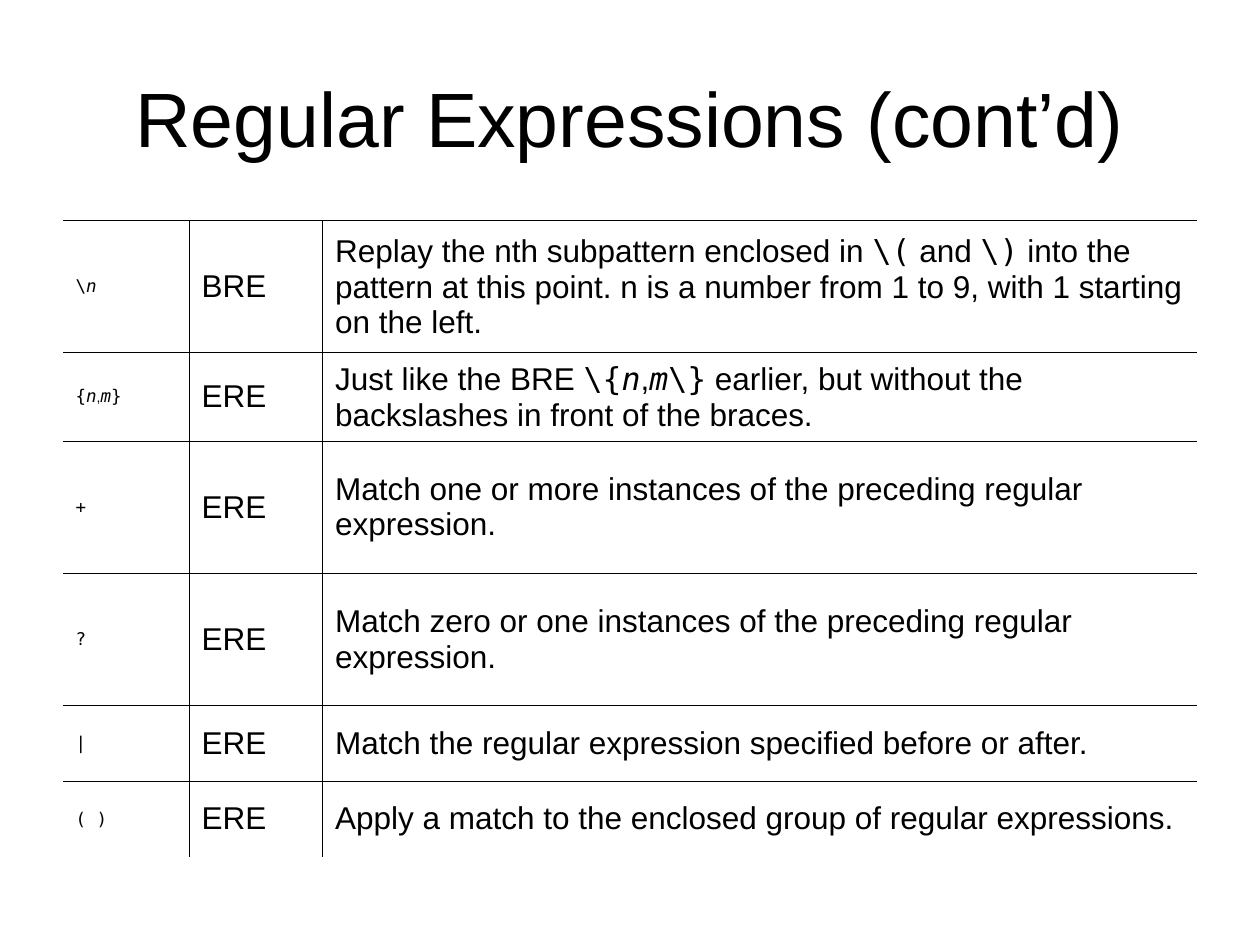
from dataclasses import dataclass

from lxml.etree import SubElement
from pptx import Presentation
from pptx.dml.color import RGBColor
from pptx.enum.text import MSO_ANCHOR, PP_ALIGN
from pptx.oxml.ns import qn
from pptx.util import Inches, Pt


@dataclass(frozen=True)
class Theme:
    """Colours, fonts and type sizes of the slide."""
    ink: str = "000000"
    text_font: str = "Arial"
    code_font: str = "DejaVu Sans Mono"
    title_size: float = 44
    body_size: float = 18
    code_size: float = 10
    comma_size: float = 8
    rule_width: float = 0.45


THEME = Theme()
TEXT, CODE, VARIABLE = "text", "code", "variable"
TITLE = "Regular Expressions (cont’d)"
COLUMN_WIDTHS = (1, 1.06, 6.94)
ROW_HEIGHTS = (1.05, 0.7, 1.05, 1.05, 0.6, 0.6)
OPERATORS = (
    ([("\\", CODE), ("n", VARIABLE)], "BRE",
     [("Replay the nth subpattern enclosed in ", TEXT), ("\\(", CODE),
      (" and ", TEXT), ("\\)", CODE),
      (" into the pattern at this point. n is a number from 1 to 9, "
       "with 1 starting on the left.", TEXT)]),
    ([("{", CODE), ("n", VARIABLE), (",", TEXT), ("m", VARIABLE), ("}", CODE)], "ERE",
     [("Just like the BRE ", TEXT), ("\\{", CODE), ("n", VARIABLE), (",", TEXT),
      ("m", VARIABLE), ("\\}", CODE),
      (" earlier, but without the backslashes in front of the braces.", TEXT)]),
    ([("+", CODE)], "ERE",
     [("Match one or more instances of the preceding regular expression.", TEXT)]),
    ([("?", CODE)], "ERE",
     [("Match zero or one instances of the preceding regular expression.", TEXT)]),
    ([("|", CODE)], "ERE",
     [("Match the regular expression specified before or after.", TEXT)]),
    ([("( )", CODE)], "ERE",
     [("Apply a match to the enclosed group of regular expressions.", TEXT)]),
)


def write(frame, pieces, *, size=THEME.body_size, text_size=None, align=PP_ALIGN.LEFT):
    """Write (text, style) pieces as the runs of one paragraph."""
    paragraph = frame.paragraphs[0]
    paragraph.alignment = align
    for words, style in pieces:
        run = paragraph.add_run()
        run.text = words
        font = run.font
        font.name = THEME.text_font if style == TEXT else THEME.code_font
        font.size = Pt(text_size if text_size and style == TEXT else size)
        font.italic = style == VARIABLE
        font.bold = False
        font.color.rgb = RGBColor.from_string(THEME.ink)


def rule_cell(cell, ruled_sides):
    """Draw the named sides of a cell and clear its other sides."""
    properties = cell._tc.get_or_add_tcPr()
    for side in "LRTB":
        line = SubElement(properties, qn(f"a:ln{side}"), w=str(Pt(THEME.rule_width)))
        if side in ruled_sides:
            fill = SubElement(line, qn("a:solidFill"))
            SubElement(fill, qn("a:srgbClr"), val=THEME.ink)
        else:
            SubElement(line, qn("a:noFill"))


def place_title(slide, left, top, width, height):
    """Place the title in its box."""
    title = slide.shapes.title
    title.left, title.top, title.width, title.height = left, top, width, height
    title.text_frame.vertical_anchor = MSO_ANCHOR.MIDDLE
    write(title.text_frame, [(TITLE, TEXT)], size=THEME.title_size, align=PP_ALIGN.CENTER)


def place_operators(slide, left, top, width, height):
    """Place the table of operators in its box."""
    table = slide.shapes.add_table(
        len(OPERATORS), len(COLUMN_WIDTHS), left, top, width, height).table
    table.first_row = table.horz_banding = False
    for column, share in zip(table.columns, COLUMN_WIDTHS):
        column.width = int(width * share / sum(COLUMN_WIDTHS))
    for row, share in zip(table.rows, ROW_HEIGHTS):
        row.height = int(height * share / sum(ROW_HEIGHTS))

    last_row, last_column = len(OPERATORS) - 1, len(COLUMN_WIDTHS) - 1
    for r, (symbol, dialect, meaning) in enumerate(OPERATORS):
        write(table.cell(r, 0).text_frame, symbol,
              size=THEME.code_size, text_size=THEME.comma_size)
        write(table.cell(r, 1).text_frame, [(dialect, TEXT)])
        write(table.cell(r, 2).text_frame, meaning)
        for c in range(len(COLUMN_WIDTHS)):
            cell = table.cell(r, c)
            cell.vertical_anchor = MSO_ANCHOR.MIDDLE
            sides = "T" + "B" * (r < last_row) + "L" * (c > 0) + "R" * (c < last_column)
            rule_cell(cell, sides)
            cell.fill.background()


def main():
    """Build and save the slide."""
    deck = Presentation()
    deck.slide_width, deck.slide_height = Inches(10), Inches(7.5)
    slide = deck.slides.add_slide(deck.slide_layouts.get_by_name("Title Only"))
    place_title(slide, Inches(0.5), Inches(0.3), Inches(9), Inches(1.25))
    place_operators(slide, Inches(0.5), Inches(1.75), Inches(9), Inches(5.05))
    deck.save("out.pptx")


if __name__ == "__main__":
    main()
